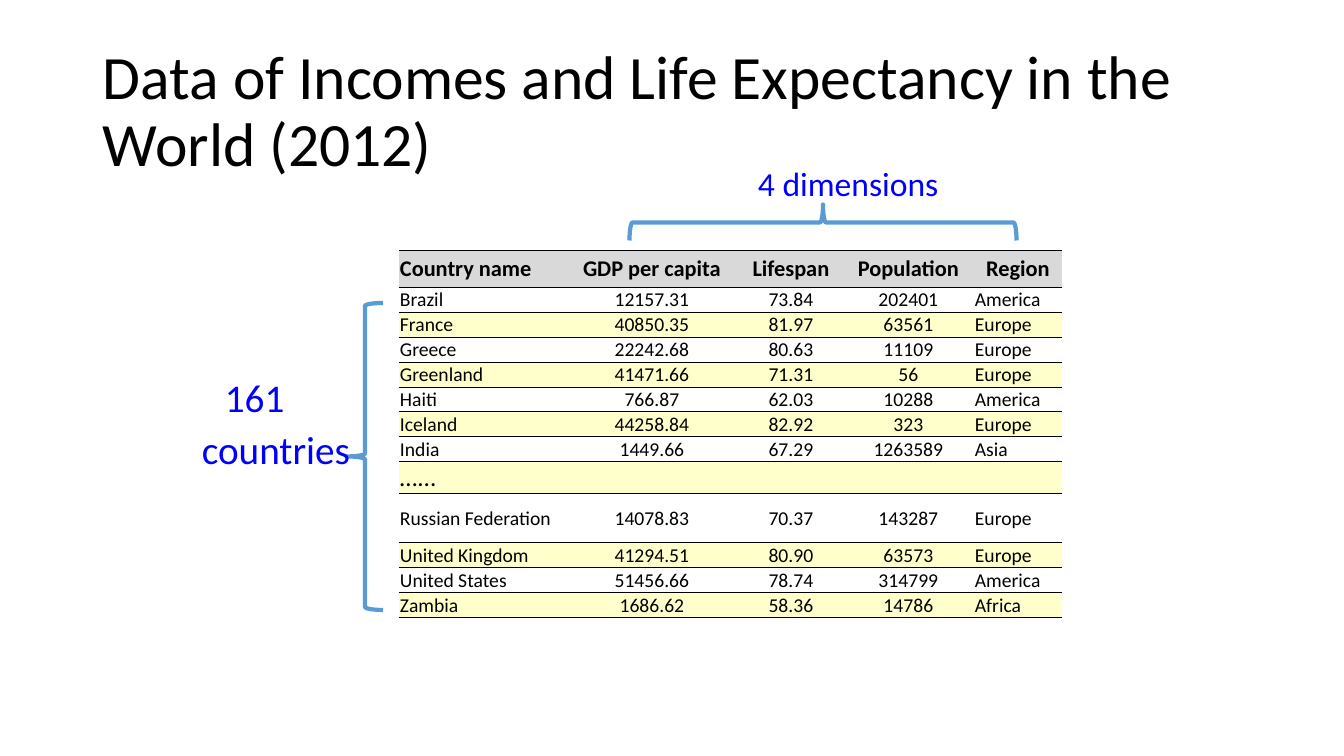
import lxml.etree
import pptx
import pptx.dml.color
import pptx.enum.shapes
import pptx.enum.text
import pptx.oxml.ns
import pptx.util

RGBColor = pptx.dml.color.RGBColor
Align = pptx.enum.text.PP_ALIGN
Anchor = pptx.enum.text.MSO_ANCHOR

TITLE = "Data of Incomes and Life Expectancy in the World (2012)"
HEADERS = ("Country name", "GDP per capita", "Lifespan", "Population", "Region")
ELLIPSIS = "…..."
COUNTRIES = [
    ("Brazil", "12157.31", "73.84", "202401", "America"),
    ("France", "40850.35", "81.97", "63561", "Europe"),
    ("Greece", "22242.68", "80.63", "11109", "Europe"),
    ("Greenland", "41471.66", "71.31", "56", "Europe"),
    ("Haiti", "766.87", "62.03", "10288", "America"),
    ("Iceland", "44258.84", "82.92", "323", "Europe"),
    ("India", "1449.66", "67.29", "1263589", "Asia"),
    (ELLIPSIS, "", "", "", ""),
    ("Russian Federation", "14078.83", "70.37", "143287", "Europe"),
    ("United Kingdom", "41294.51", "80.90", "63573", "Europe"),
    ("United States", "51456.66", "78.74", "314799", "America"),
    ("Zambia", "1686.62", "58.36", "14786", "Africa"),
]
# text, left, top, width, height, size, wrap
LABELS = [
    ("countries", 192, 420, 195, 57, 28, True),
    ("161", 215, 368, 90, 57, 28, False),
    ("4 dimensions", 748, 158, 203, 50, 24, False),
]
# left, top, width, height, rotation
BRACES = [(347, 303, 36, 307, 0), (805, 29, 36, 387, 90)]

TABLE_LEFT, TABLE_TOP = 399, 250
COLUMN_WIDTHS = (166, 174, 104, 131, 88)
HEADER_HEIGHT, ROW_HEIGHT = 37, 25
TALL_ROWS = {ELLIPSIS: 32, "Russian Federation": 49}

FONT = "Calibri"
BLACK = RGBColor(0, 0, 0)
LABEL_BLUE = RGBColor(0, 0, 255)
BRACE_BLUE = RGBColor(0x5B, 0x9B, 0xD5)
HEADER_GREY = RGBColor(0xD9, 0xD9, 0xD9)
BAND_YELLOW = RGBColor(0xFF, 0xFF, 0xCC)


def px(length):
    return pptx.util.Emu(round(length * 914400 / 100.8))


def add_run(paragraph, text, size, color, bold=False):
    run = paragraph.add_run()
    run.text = text
    run.font.name = FONT
    run.font.size = pptx.util.Pt(size)
    run.font.bold = bold
    run.font.color.rgb = color


def add_text(slide, text, box, size, color, wrap=True):
    shape = slide.shapes.add_textbox(*map(px, box))
    frame = shape.text_frame
    frame.word_wrap = wrap
    add_run(frame.paragraphs[0], text, size, color)
    return frame


def add_brace(slide, left, top, width, height, rotation):
    brace = slide.shapes.add_shape(
        pptx.enum.shapes.MSO_SHAPE.LEFT_BRACE, *map(px, (left, top, width, height)))
    brace.rotation = rotation
    brace.shadow.inherit = False
    brace.fill.background()
    brace.line.color.rgb = BRACE_BLUE
    brace.line.width = pptx.util.Pt(3)


def rule_cell(cell):
    """Draw thin lines above and below the cell and none at its sides."""
    qn = pptx.oxml.ns.qn
    properties = cell._tc.get_or_add_tcPr()
    for side in "LRTB":
        line = lxml.etree.SubElement(properties, qn(f"a:ln{side}"))
        if side in "LR":
            lxml.etree.SubElement(line, qn("a:noFill"))
        else:
            line.set("w", str(pptx.util.Pt(0.5)))
            fill = lxml.etree.SubElement(line, qn("a:solidFill"))
            lxml.etree.SubElement(fill, qn("a:srgbClr"), val=str(BLACK))


def fill_cell(cell, text, row, column):
    cell.margin_left = cell.margin_right = cell.margin_top = px(1)
    cell.margin_bottom = 0
    cell.vertical_anchor = Anchor.MIDDLE
    rule_cell(cell)
    if row % 2 and row:
        cell.fill.background()
    else:
        cell.fill.solid()
        cell.fill.fore_color.rgb = BAND_YELLOW if row else HEADER_GREY
    if text:
        paragraph = cell.text_frame.paragraphs[0]
        centred = column in (1, 2, 3) or (row == 0 and column == 4)
        paragraph.alignment = Align.CENTER if centred else Align.LEFT
        size = 16 if row == 0 else 18 if text == ELLIPSIS else 14
        add_run(paragraph, text, size, BLACK, bold=row == 0)


def add_country_table(slide):
    rows = [HEADERS] + COUNTRIES
    heights = [HEADER_HEIGHT] + [TALL_ROWS.get(country[0], ROW_HEIGHT) for country in COUNTRIES]
    box = (TABLE_LEFT, TABLE_TOP, sum(COLUMN_WIDTHS), sum(heights))
    table = slide.shapes.add_table(len(rows), len(HEADERS), *map(px, box)).table
    table.first_row = table.horz_banding = False
    for column, width in zip(table.columns, COLUMN_WIDTHS):
        column.width = px(width)
    for row, (values, height) in enumerate(zip(rows, heights)):
        table.rows[row].height = px(height)
        for column, text in enumerate(values):
            fill_cell(table.cell(row, column), text, row, column)


def main():
    presentation = pptx.Presentation()
    presentation.slide_width, presentation.slide_height = px(1344), px(756)
    slide = presentation.slides.add_slide(presentation.slide_layouts[6])
    title = add_text(slide, TITLE, (93, 40, 1159, 146), 44, BLACK)
    title.vertical_anchor = Anchor.MIDDLE
    title.paragraphs[0].line_spacing = 0.9
    add_country_table(slide)
    for brace in BRACES:
        add_brace(slide, *brace)
    for text, left, top, width, height, size, wrap in LABELS:
        frame = add_text(slide, text, (left, top, width, height), size, LABEL_BLUE, wrap)
        frame.auto_size = pptx.enum.text.MSO_AUTO_SIZE.SHAPE_TO_FIT_TEXT
    presentation.save("out.pptx")


if __name__ == "__main__":
    main()
